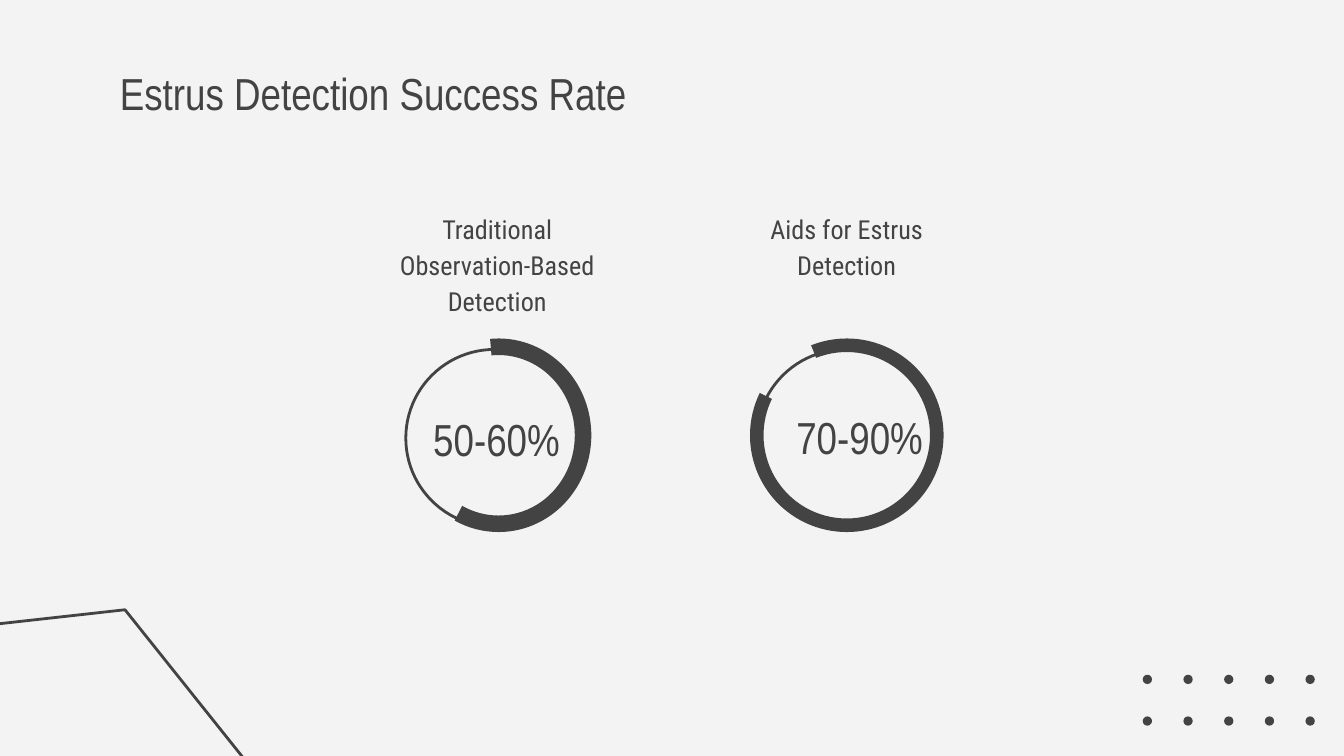
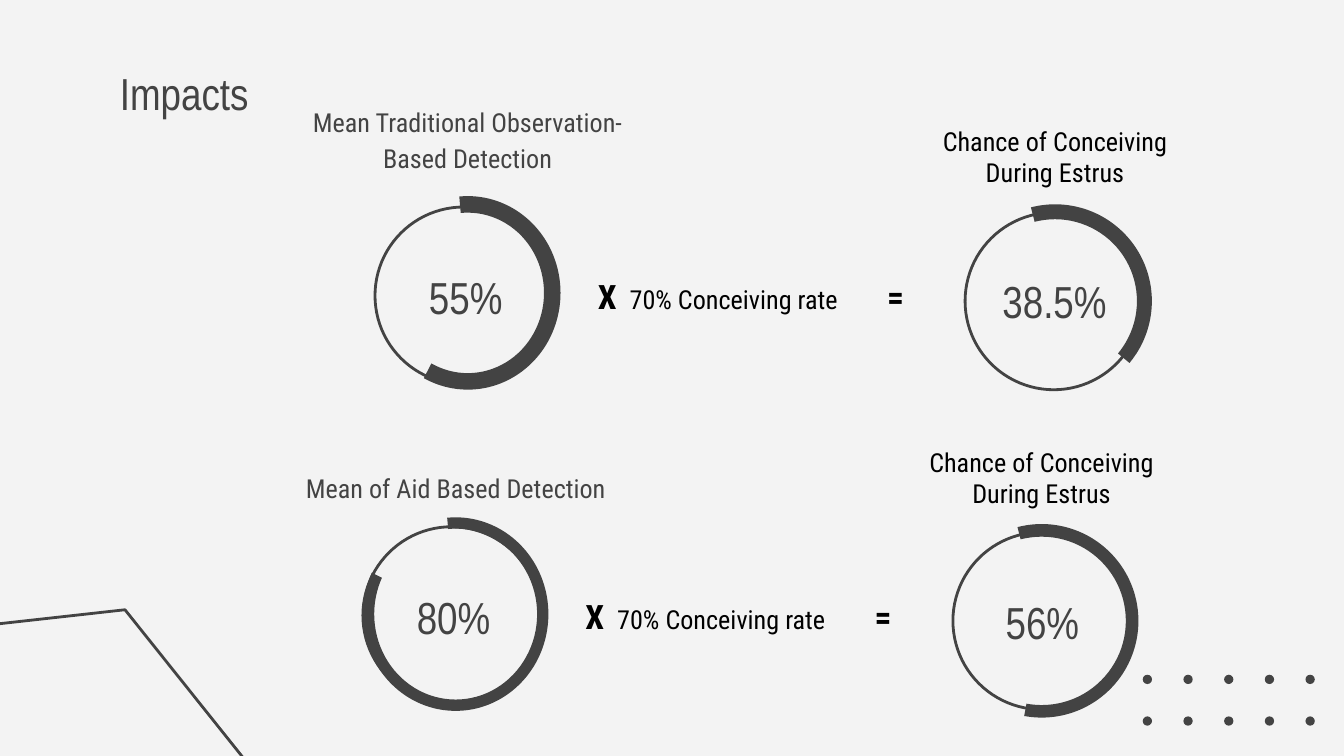
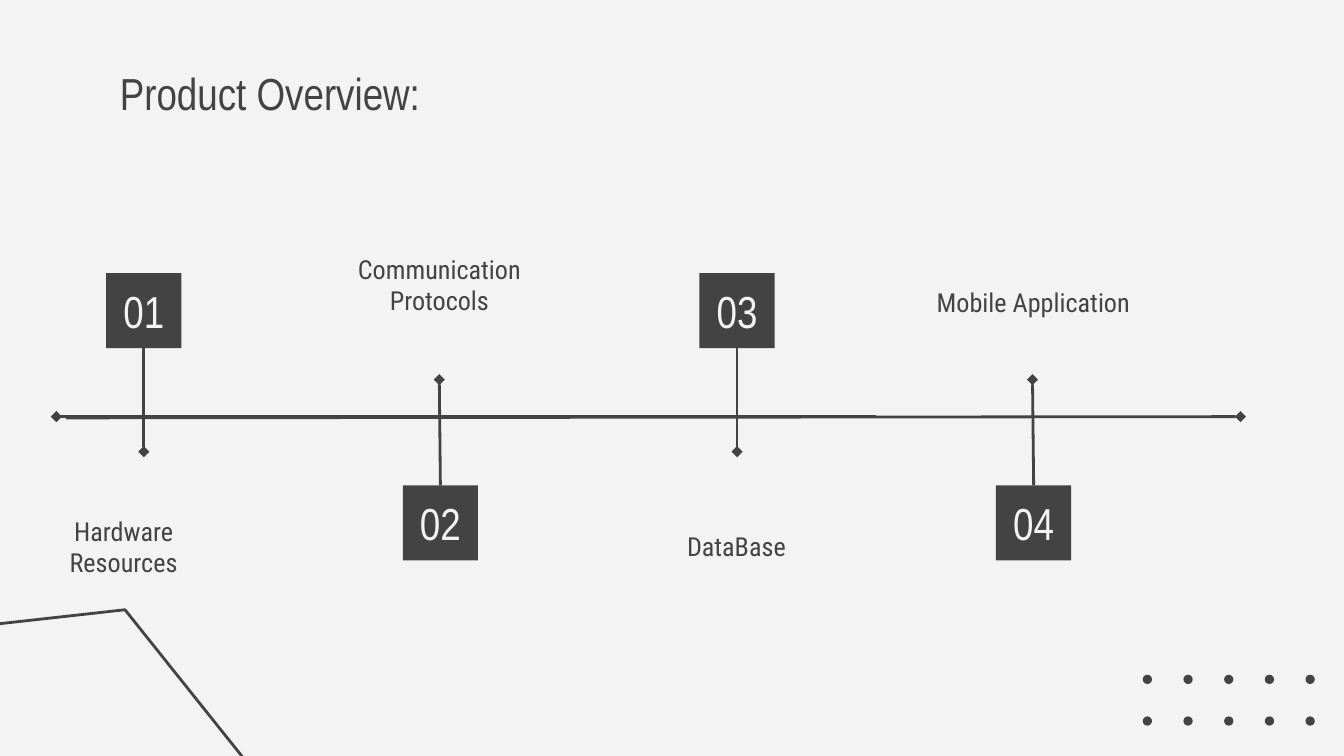
from lxml import etree
from pptx import Presentation
from pptx.dml.color import RGBColor
from pptx.enum.shapes import MSO_CONNECTOR, MSO_SHAPE
from pptx.enum.text import MSO_ANCHOR, MSO_AUTO_SIZE, PP_ALIGN
from pptx.oxml.ns import qn
from pptx.util import Pt

DARK = RGBColor(0x43, 0x43, 0x43)
LIGHT = RGBColor(0xF3, 0xF3, 0xF3)
BLACK = RGBColor(0, 0, 0)
HEADING_FONT = "Arial Narrow"
BODY_FONT = "Roboto Condensed"
LEFT, CENTER = PP_ALIGN.LEFT, PP_ALIGN.CENTER
TOP, MIDDLE = MSO_ANCHOR.TOP, MSO_ANCHOR.MIDDLE
OVAL, BLOCK_ARC, RECTANGLE = MSO_SHAPE.OVAL, MSO_SHAPE.BLOCK_ARC, MSO_SHAPE.RECTANGLE
STRAIGHT = MSO_CONNECTOR.STRAIGHT
NO_AUTOFIT = MSO_AUTO_SIZE.NONE
LINE_WIDTH = Pt(1.5)
INSET = Pt(7.2)


def add_text(shape, text, size=14, font=BODY_FONT, color=DARK, bold=False,
             align=CENTER, anchor=TOP, spacing=1.0, bottom=INSET):
    """Append a run to the first paragraph of the shape and format both."""
    frame = shape.text_frame
    frame.word_wrap = True
    frame.auto_size = NO_AUTOFIT
    frame.vertical_anchor = anchor
    frame.margin_left = frame.margin_top = frame.margin_right = INSET
    frame.margin_bottom = bottom
    paragraph = frame.paragraphs[0]
    paragraph.alignment = align
    paragraph.line_spacing = spacing
    run = paragraph.add_run()
    run.text = text
    run.font.size = Pt(size)
    run.font.name = font
    run.font.bold = bold
    run.font.color.rgb = color


def paint(shape, fill=None):
    """Fill a shape without outline, or outline it without fill."""
    shape.shadow.inherit = False
    if fill is not None:
        shape.fill.solid()
        shape.fill.fore_color.rgb = fill
        shape.line.fill.background()
    else:
        shape.fill.background()
        shape.line.color.rgb = DARK
        shape.line.width = LINE_WIDTH


presentation = Presentation()
presentation.slide_width = Pt(720)
presentation.slide_height = Pt(405)
background = presentation.slide_master.background.fill
background.solid()
background.fore_color.rgb = LIGHT
title_only = presentation.slide_layouts[5]

# Titles and the decoration that all slides share
slides = []
for heading, width, height in [
    ("Estrus Detection Success Rate", 366, 65.5),
    ("Impacts", 253.5, 45.5),
    ("Product Overview:", 538.5, 65.5),
]:
    slide = presentation.slides.add_slide(title_only)
    slides.append(slide)
    title = slide.shapes.title
    title.left, title.top = Pt(57), Pt(28)
    title.width, title.height = Pt(width), Pt(height)
    add_text(title, heading, size=24, font=HEADING_FONT, align=LEFT)

    for row in range(2):
        for column in range(5):
            dot = slide.shapes.add_shape(
                OVAL, Pt(612.2 + 21.8 * column), Pt(361.5 + 22.3 * row), Pt(5), Pt(5))
            paint(dot, DARK)

    builder = slide.shapes.build_freeform(Pt(-12), Pt(335.5))
    builder.add_line_segments([(Pt(67), Pt(326.7)), (Pt(130.3), Pt(406))], close=False)
    paint(builder.convert_to_shape())

rates, impacts, overview = slides

# Ring gauges: ring corner, arc (x and y offset, width, start and end degrees,
# thickness), value with its box, label with its box, colour and spacing
gauges = [
    (rates, 217.4, 187.2, (0, -5.8, 99.4, 264.98, 117.25, 0.089),
     "50-60%", (202.3, 218.2, 127.4, 33.8),
     "Traditional Observation-Based Detection", (193.7, 104.4, 145.4), DARK, 1.15),
    (rates, 405.4, 187.2, (-3.6, -5.8, 103.7, 248.38, 205.91, 0.07),
     "70-90%", (394.6, 211, 131.8, 45.4),
     "Aids for Estrus Detection", (380.9, 104.4, 145.4), DARK, 1.15),
    (impacts, 200.9, 110.9, (0, -5.8, 99.4, 264.98, 117.25, 0.089),
     "55%", (185.8, 141.8, 127.4, 33.8),
     "Mean Traditional Observation-Based Detection", (148.3, 47.5, 204.5), DARK, 1.15),
    (impacts, 517, 113.8, (-3.6, -4.3, 103.7, 255.54, 39.75, 0.077),
     "38.5%", (499, 138.2, 131.8, 45.4),
     "Chance of Conceiving During Estrus", (492.5, 59.8, 145.4), BLACK, 1.0),
    (impacts, 194.4, 282.2, (0, -5, 99.4, 264.98, 206.26, 0.061),
     "80%", (179.3, 313.2, 127.4, 33.8),
     "Mean of Aid Based Detection", (142, 243.4, 204.5), DARK, 1.15),
    (impacts, 510.5, 285.1, (-4.3, -4.3, 103.7, 255.54, 100.39, 0.065),
     "56%", (492.5, 310.3, 131.8, 45.4),
     "Chance of Conceiving During Estrus", (485.3, 231.8, 145.4), BLACK, 1.0),
]
for slide, left, top, arc_format, value, value_box, label, label_box, color, spacing in gauges:
    ring = slide.shapes.add_shape(OVAL, Pt(left), Pt(top), Pt(95), Pt(95))
    paint(ring)

    shift_x, shift_y, width, start, end, thickness = arc_format
    arc = slide.shapes.add_shape(
        BLOCK_ARC, Pt(left + shift_x), Pt(top + shift_y), Pt(width), Pt(103.7))
    paint(arc, DARK)
    arc.adjustments[0] = start * 0.6
    arc.adjustments[1] = end * 0.6
    arc.adjustments[2] = thickness

    label_shape = slide.shapes.add_textbox(*map(Pt, label_box), Pt(72.7))
    add_text(label_shape, label, color=color, spacing=spacing)
    value_shape = slide.shapes.add_textbox(*map(Pt, value_box))
    add_text(value_shape, value, size=24, font=HEADING_FONT, anchor=MIDDLE)

# Formula between the gauges of each row, spaced with tab stops
for left, top in [(313.2, 140.4), (306.5, 312)]:
    formula = impacts.shapes.add_textbox(Pt(left), Pt(top), Pt(193), Pt(36))
    properties = formula.text_frame.paragraphs[0]._p.get_or_add_pPr()
    tab_list = etree.SubElement(properties, qn("a:tabLst"))
    for position in (17, 155):
        etree.SubElement(tab_list, qn("a:tab"), pos=str(Pt(position)), algn="l")
    add_text(formula, "X", size=18, bold=True, color=BLACK, align=LEFT)
    add_text(formula, "\t70% Conceiving rate\t", color=BLACK, align=LEFT)
    add_text(formula, "=", size=18, bold=True, color=BLACK, align=LEFT)

# Timeline steps, alternating above and below the axis
BOX_SIZE = 40.3
lines = [
    (664.6, 223.2, 35.3, 223.9, "a:headEnd"),
    (30.2, 223.2, 469.4, 223.2, "a:headEnd"),
]
steps = [
    ("Hardware Resources", 3.6, 260.6, 56.9),
    ("Communication Protocols", 172.8, 100.1, 97.2),
    ("DataBase", 331.9, 246.2, 85),
    ("Mobile Application", 491, 129.6, 56.9),
]
for index, (name, label_left, label_top, label_height) in enumerate(steps):
    box_left = 56.9 + 158.9 * index
    center = box_left + BOX_SIZE / 2
    if index % 2 == 0:
        box_top = 146.3
        lines.append((center, box_top + BOX_SIZE, center, 242, "a:tailEnd"))
    else:
        box_top = 260
        lines.append((center, box_top, center - 0.6, 203.4, "a:tailEnd"))
    box = overview.shapes.add_shape(
        RECTANGLE, Pt(box_left), Pt(box_top), Pt(BOX_SIZE), Pt(BOX_SIZE))
    paint(box, DARK)
    add_text(box, f"{index + 1:02}", size=24, font=HEADING_FONT, color=LIGHT, anchor=MIDDLE)
    label_shape = overview.shapes.add_textbox(
        Pt(label_left), Pt(label_top), Pt(125.3), Pt(label_height))
    add_text(label_shape, name, anchor=MIDDLE, bottom=0)

# Axis and stems with diamond ends
for start_x, start_y, end_x, end_y, diamond_end in lines:
    connector = overview.shapes.add_connector(
        STRAIGHT, Pt(start_x), Pt(start_y), Pt(end_x), Pt(end_y))
    connector.line.color.rgb = DARK
    connector.line.width = LINE_WIDTH
    outline = connector.line._get_or_add_ln()
    etree.SubElement(outline, qn(diamond_end), type="diamond")
    etree.SubElement(connector._element.spPr, qn("a:effectLst"))

presentation.save("out.pptx")
